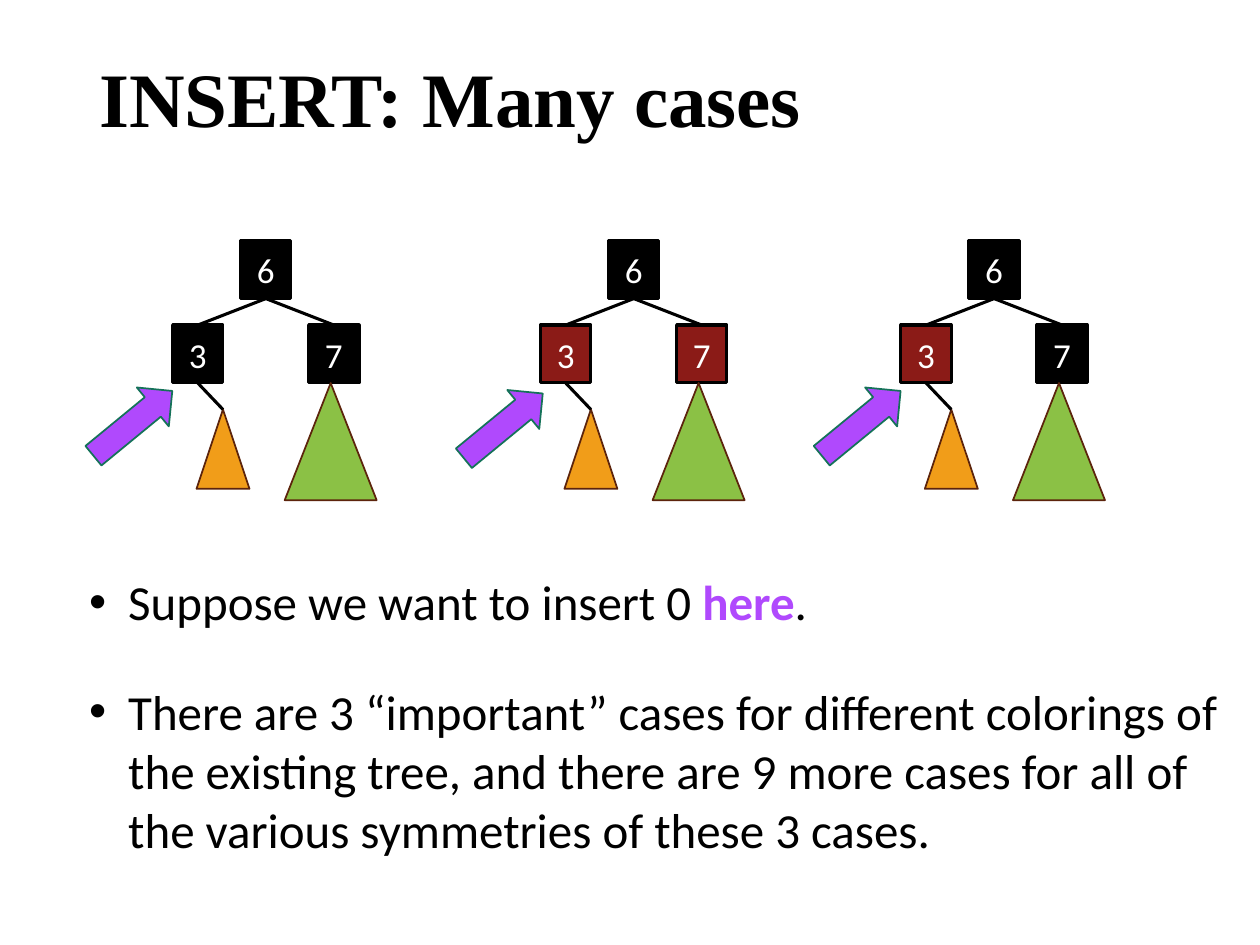
from dataclasses import dataclass

from pptx import Presentation
from pptx import util as u
from pptx.dml.color import RGBColor
from pptx.enum import shapes, text
from pptx.oxml import xmlchemy

BLACK, WHITE, RED = "000000", "FFFFFF", "8B1B17"
GREEN, ORANGE, BROWN = "8BC145", "F19D19", "5C240C"
PURPLE, TEAL = "B049FD", "157259"
NODE_W, NODE_H = 0.4, 0.46
ROOT_Y, CHILD_Y = 1.91, 2.58
SHAPE = shapes.MSO_SHAPE


@dataclass
class Case:
    """One colouring of the tree, placed by the left edge of node 3."""
    left: float
    three: str
    seven: str
    arrow_left: float
    arrow_top: float


CASES = [
    Case(1.37, BLACK, BLACK, 0.65, 3.16),
    Case(4.29, RED, RED, 3.59, 3.18),
    Case(7.15, RED, BLACK, 6.43, 3.16),
]


def color(value: str) -> RGBColor:
    return RGBColor.from_string(value)


def add_run(p, content: str, *, size: float, font: str = "Calibri",
            fill: str = BLACK, bold: bool = False) -> None:
    r = p.add_run()
    r.text = content
    r.font.size = u.Pt(size)
    r.font.name = font
    r.font.bold = bold
    r.font.color.rgb = color(fill)


def add_box(s, x: float, y: float, w: float, h: float):
    tf = s.shapes.add_textbox(*map(u.Inches, (x, y, w, h))).text_frame
    tf.word_wrap = True
    return tf


def add_bullet(p) -> None:
    pPr = p._p.get_or_add_pPr()
    pPr.set("marL", str(u.Inches(0.31)))
    pPr.set("indent", str(-u.Inches(0.31)))
    for tag, name, value in (("a:buFont", "typeface", "Arial"),
                             ("a:buChar", "char", "•")):
        xmlchemy.OxmlElement(tag)
        element = xmlchemy.OxmlElement(tag)
        element.set(name, value)
        pPr.append(element)


def add_shape(parent, kind, x: float, y: float, w: float, h: float,
              fill: str, line: str, width: float = 1):
    sp = parent.shapes.add_shape(kind, *map(u.Inches, (x, y, w, h)))
    sp.shadow.inherit = False
    sp.fill.solid()
    sp.fill.fore_color.rgb = color(fill)
    sp.line.color.rgb = color(line)
    sp.line.width = u.Pt(width)
    return sp


def add_node(parent, label: str, x: float, y: float, fill: str) -> None:
    sp = add_shape(parent, SHAPE.RECTANGLE, x, y, NODE_W, NODE_H, fill, BLACK, 1.75)
    tf = sp.text_frame
    tf.vertical_anchor = text.MSO_ANCHOR.MIDDLE
    p = tf.paragraphs[0]
    p.alignment = text.PP_ALIGN.CENTER
    add_run(p, label, size=20, fill=WHITE)


def add_edge(parent, x1: float, y1: float, x2: float, y2: float) -> None:
    line = parent.shapes.add_connector(
        shapes.MSO_CONNECTOR.STRAIGHT, *map(u.Inches, (x1, y1, x2, y2)))
    line.line.color.rgb = color(BLACK)
    line.line.width = u.Pt(1.75)
    line._element.spPr.append(xmlchemy.OxmlElement("a:effectLst"))


def add_tree(s, case: Case) -> None:
    tree = s.shapes.add_group_shape()
    x = case.left
    # Nodes
    add_node(tree, "7", x + 1.08, CHILD_Y, case.seven)
    add_node(tree, "3", x, CHILD_Y, case.three)
    add_node(tree, "6", x + 0.54, ROOT_Y, BLACK)
    # Edges from the root
    three_x, root_x, seven_x = (x + NODE_W / 2 + i * 0.54 for i in range(3))
    root_bottom, child_bottom = ROOT_Y + NODE_H, CHILD_Y + NODE_H
    for child_x in (three_x, seven_x):
        add_edge(tree, root_x, root_bottom, child_x, CHILD_Y)
    # Subtrees
    add_shape(tree, SHAPE.ISOSCELES_TRIANGLE, x + 0.89, child_bottom,
              0.73, 0.93, GREEN, BROWN)
    add_shape(tree, SHAPE.ISOSCELES_TRIANGLE, x + 0.19, 3.25,
              0.42, 0.63, ORANGE, BROWN)
    add_edge(tree, three_x, child_bottom, three_x + 0.2, 3.25)


def add_arrow(s, case: Case) -> None:
    arrow = add_shape(s, SHAPE.RIGHT_ARROW, case.arrow_left, case.arrow_top,
                      0.81, 0.4, PURPLE, TEAL)
    arrow.rotation = 320.6


def main() -> None:
    prs = Presentation()
    prs.slide_width, prs.slide_height = u.Inches(10), u.Inches(7.5)
    s = prs.slides.add_slide(prs.slide_layouts[6])

    # Title
    tf = add_box(s, 0.69, 0.09, 8.62, 1.45)
    tf.vertical_anchor = text.MSO_ANCHOR.MIDDLE
    tf.paragraphs[0].line_spacing = 0.9
    add_run(tf.paragraphs[0], "INSERT: Many cases", size=44,
            font="Times New Roman", bold=True)

    # Trees, then the arrows that mark the insertion point
    for case in CASES:
        add_tree(s, case)
    for case in CASES:
        add_arrow(s, case)

    # Explanation
    tf = add_box(s, 0.61, 4.49, 9.26, 2.39)
    p = tf.paragraphs[0]
    add_bullet(p)
    add_run(p, "Suppose we want to insert 0 ", size=28)
    add_run(p, "here", size=28, fill=PURPLE, bold=True)
    add_run(p, ".", size=28)
    p = tf.add_paragraph()
    add_bullet(p)
    p.space_before = u.Pt(29)
    add_run(p, "There are 3 “important” cases for different colorings of the "
               "existing tree, and there are 9 more cases for all of the "
               "various symmetries of these 3 cases.", size=28)

    prs.save("out.pptx")


if __name__ == "__main__":
    main()
